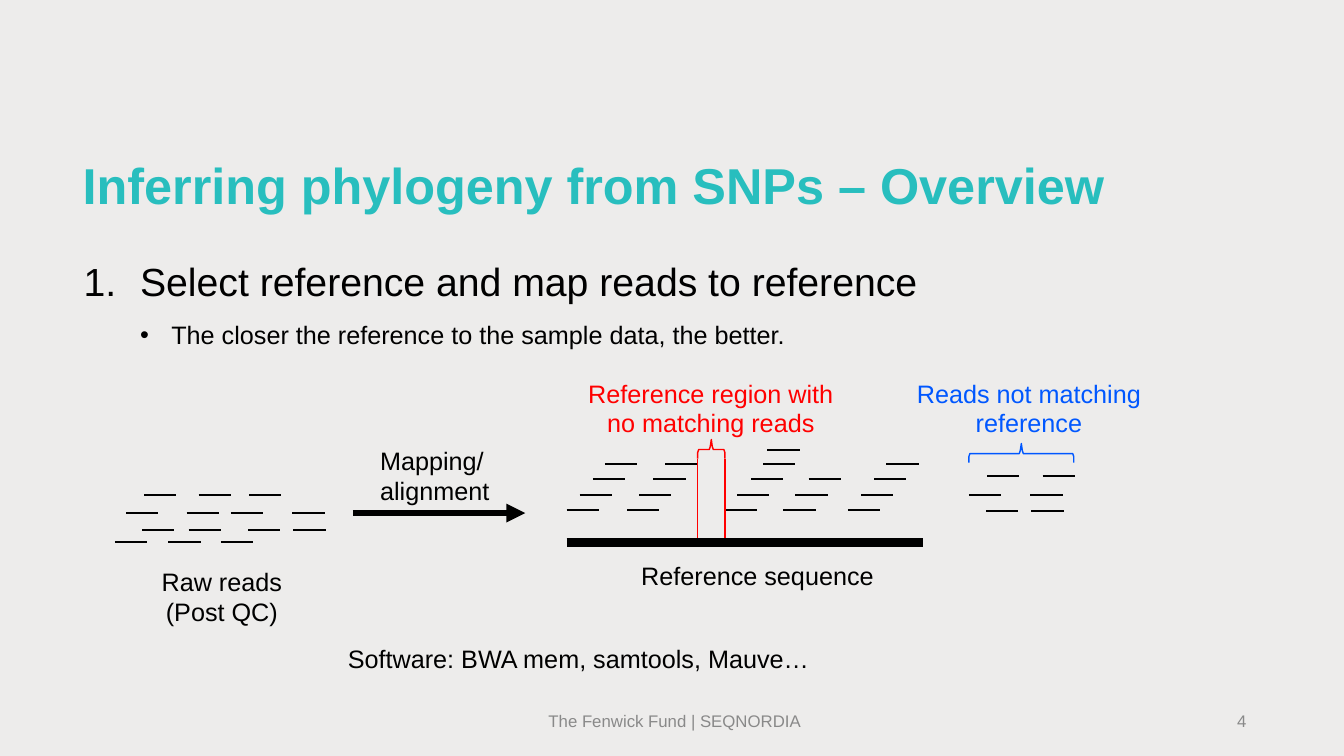
from lxml.etree import SubElement
from pptx import Presentation
from pptx.dml.color import RGBColor
from pptx.enum.shapes import MSO_CONNECTOR
from pptx.enum.text import PP_ALIGN
from pptx.oxml.ns import qn
from pptx.util import Inches, Pt

COLORS = {
    "background": "EDECEB",
    "title": "28BEBE",
    "black": "000000",
    "gap": "FF0000",
    "unmatched": "0057FF",
    "footer": "898989",
}
READ_LENGTH = 0.32

deck = Presentation()
deck.slide_width, deck.slide_height = Inches(13.33), Inches(7.5)
page = deck.slides.add_slide(deck.slide_layouts[6])
page.background.fill.solid()
page.background.fill.fore_color.rgb = RGBColor.from_string(COLORS["background"])


def add_text(text, at=None, box=None, size=18, color="black", bold=False, align=PP_ALIGN.LEFT,
             inset=0.01, leading=None, before=0, bullet=None, indent=(0, 0)):
    """Write a paragraph in a new box placed at `at`, or append it to `box`."""
    if box is None:
        box = page.shapes.add_textbox(*map(Inches, at))
        frame = box.text_frame
        frame.word_wrap = True
        frame.margin_left = frame.margin_right = frame.margin_bottom = 0
        frame.margin_top = Inches(inset)
        para = frame.paragraphs[0]
    else:
        para = box.text_frame.add_paragraph()
    para.alignment = align
    para.space_before = Pt(before)
    if leading:
        para.line_spacing = Pt(leading)
    if bullet:
        properties = para._p.get_or_add_pPr()
        properties.set("marL", str(Inches(indent[0])))
        properties.set("indent", str(Inches(indent[1])))
        tag, attribute = ("a:buAutoNum", "type") if bullet == "arabicPeriod" else ("a:buChar", "char")
        SubElement(properties, qn("a:buFont"), typeface="Arial")
        SubElement(properties, qn(tag)).set(attribute, bullet)
    span = para.add_run()
    span.text = text
    span.font.name = "Arial"
    span.font.size = Pt(size)
    span.font.bold = bold
    span.font.color.rgb = RGBColor.from_string(COLORS[color])
    return box


def add_line(x1, y1, x2, y2, width=1.5, color="black"):
    line = page.shapes.add_connector(MSO_CONNECTOR.STRAIGHT, *map(Inches, (x1, y1, x2, y2)))
    line.line.width = Pt(width)
    line.line.color.rgb = RGBColor.from_string(COLORS[color])
    SubElement(line._element.spPr, qn("a:effectLst"))
    return line


# Title and list
add_text("Inferring phylogeny from SNPs – Overview", (0.82, 1.52, 11.64, 0.63),
         size=36, color="title", bold=True)
steps = add_text("Select reference and map reads to reference", (0.81, 2.29, 8.5, 1.19),
                 size=28, inset=0.26, bullet="arabicPeriod", indent=(0.58, -0.56))
add_text("The closer the reference to the sample data, the better.", box=steps,
         before=11.2, bullet="•", indent=(0.89, -0.31))

# Reads: height of each row, then the left end of every read in it
raw_reads = {
    4.91: (1.43, 1.97, 2.47),
    5.09: (1.25, 1.85, 2.29, 2.9),
    5.26: (1.41, 1.87, 2.46, 2.91),
    5.38: (1.14, 1.67, 2.19),
}
mapped_reads = {
    4.46: (7.61,),
    4.6: (6, 6.6, 7.57, 8.79),
    4.75: (5.88, 6.48, 7.45, 8.02, 8.67),
    4.91: (5.75, 6.34, 7.31, 7.89, 8.54),
    5.06: (5.62, 6.22, 7.19, 7.77, 8.41),
}
unmatched_reads = {
    4.72: (9.79, 10.34),
    4.91: (9.61, 10.22),
    5.07: (9.78, 10.23),
}
for reads in (raw_reads, mapped_reads, unmatched_reads):
    for y, starts in reads.items():
        for x in starts:
            add_line(x, y, x + READ_LENGTH, y)

# Reference sequence and mapping arrow
add_line(5.62, 5.38, 9.15, 5.38, width=6)
arrow = add_line(3.5, 5.09, 5.21, 5.09, width=4.5)
SubElement(arrow.line._get_or_add_ln(), qn("a:tailEnd"), type="triangle")

# Braces over the uncovered region and the unmatched reads
for left, right, top, color in ((6.92, 7.19, 4.36, "gap"), (9.61, 10.65, 4.4, "unmatched")):
    middle = (left + right) / 2
    half = [(left, 0.19), (left, 0.13), (left + 0.01, 0.1),
            (middle - 0.02, 0.1), (middle - 0.01, 0.07), (middle, 0)]
    outline = half + [(left + right - x, y) for x, y in reversed(half[:-1])]
    points = [(Inches(x), Inches(top + y)) for x, y in outline]
    builder = page.shapes.build_freeform(*points[0])
    builder.add_line_segments(points[1:], close=False)
    brace = builder.convert_to_shape()
    brace.shadow.inherit = False
    brace.fill.background()
    brace.line.width = Pt(1)
    brace.line.color.rgb = RGBColor.from_string(COLORS[color])
for x in (6.92, 7.19):
    add_line(x, 4.55, x, 5.34, width=1, color="gap")

# Labels
two_lines = {"inset": 0.03, "leading": 21}
add_text("Raw reads (Post QC)", (1.59, 5.6, 1.22, 0.62), align=PP_ALIGN.CENTER, **two_lines)
add_text("Mapping/ alignment", (3.77, 4.4, 1.11, 0.62), **two_lines)
add_text("Reference region with no matching reads", (5.82, 3.73, 2.46, 0.62),
         color="gap", align=PP_ALIGN.CENTER, **two_lines)
add_text("Reads not matching reference", (9.08, 3.73, 2.25, 0.62),
         color="unmatched", align=PP_ALIGN.CENTER, **two_lines)
add_text("Reference sequence", (6.36, 5.55, 2.4, 0.33))
add_text("Software: BWA mem, samtools, Mauve…", (3.45, 6.37, 4.7, 0.33))

# Footer
footer = {"size": 12, "color": "footer", "inset": 0, "leading": 14.2}
add_text("The Fenwick Fund | SEQNORDIA", (5.44, 7.05, 2.6, 0.21), **footer)
add_text("4", (12.27, 7.05, 0.25, 0.21), **footer)

deck.save("out.pptx")
